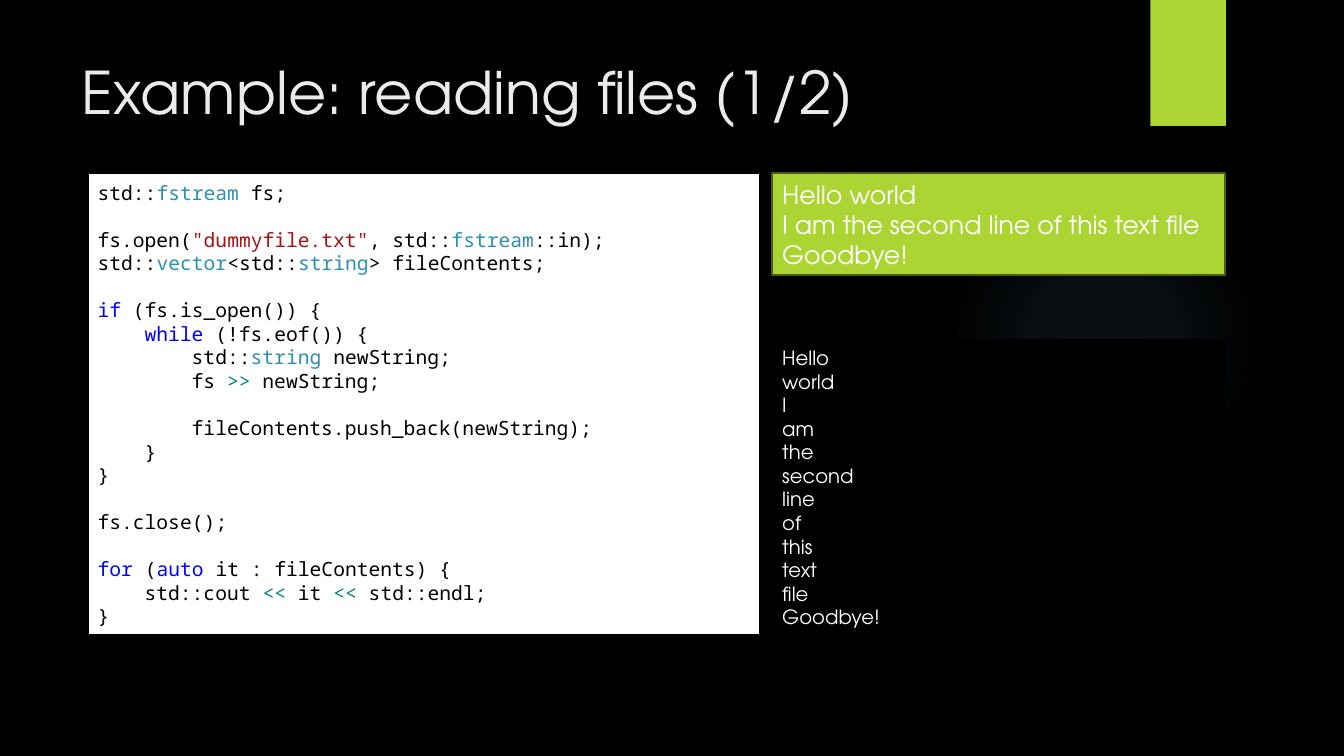
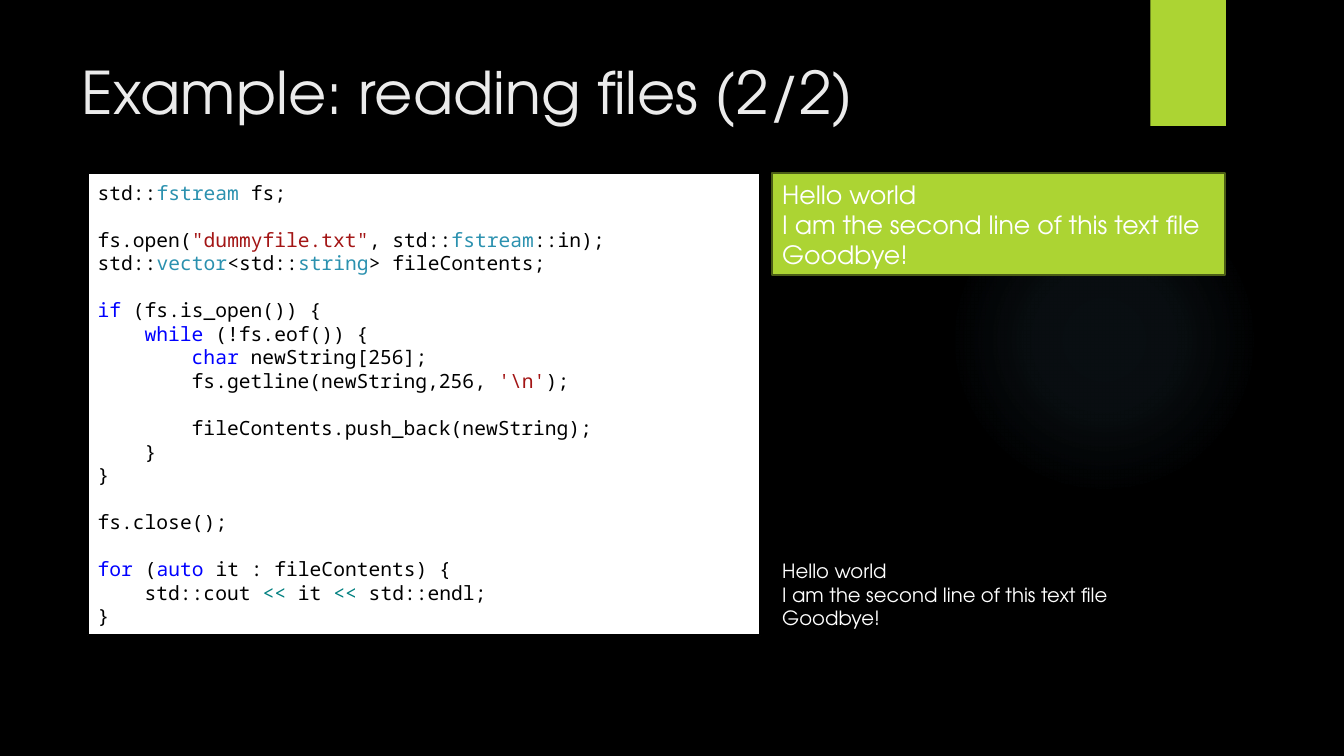
from lxml import etree
from pptx import Presentation
from pptx.dml.color import RGBColor
from pptx.enum.shapes import MSO_SHAPE as Preset
from pptx.enum.text import MSO_ANCHOR as Anchor, PP_ALIGN as Align
from pptx.oxml.ns import nsdecls
from pptx.util import Pt

PX = 9144  # EMU per px, 100 px to the inch

BLACK = RGBColor(0x00, 0x00, 0x00)
WHITE = RGBColor(0xFF, 0xFF, 0xFF)
TITLE = RGBColor(0xEB, 0xEB, 0xEB)
LIME = RGBColor(0xAC, 0xD4, 0x33)
OLIVE = RGBColor(0x4B, 0x5D, 0x16)
GLOW = RGBColor(0x7A, 0xC4, 0xF0)
TYPE = RGBColor(0x2B, 0x91, 0xAF)
KEYWORD = RGBColor(0x00, 0x00, 0xFF)
OPERATOR = RGBColor(0x00, 0x80, 0x80)
LITERAL = RGBColor(0xA3, 0x15, 0x15)

SYNTAX = {
    **dict.fromkeys(("fstream", "vector", "string"), TYPE),
    **dict.fromkeys(("if", "while", "for", "auto", "char"), KEYWORD),
    **dict.fromkeys(("<<", ">>"), OPERATOR),
}

# Code with backticks around each coloured token
CODE_START = """\
std::`fstream` fs;

fs.open(`"dummyfile.txt"`, std::`fstream`::in);
std::`vector`<std::`string`> fileContents;

`if` (fs.is_open()) {
    `while` (!fs.eof()) {
"""
READ_WORD = """\
        std::`string` newString;
        fs `>>` newString;
"""
READ_LINE = r"""        `char` newString[256];
        fs.getline(newString,256, `'\n'`);
"""
CODE_END = """
        fileContents.push_back(newString);
    }
}

fs.close();

`for` (`auto` it : fileContents) {
    std::cout `<<` it `<<` std::endl;
}"""

FILE_TEXT = """Hello world
I am the second line of this text file
Goodbye!"""


class Deck:
    """Holds the style and the current page."""

    sans = "TeX Gyre Adventor"
    mono = "Noto Sans Mono"
    code_size = 14
    code_leading = Pt(16.8)
    code_indent = Pt(8.4)  # width of one character

    def __init__(self):
        self.file = Presentation()
        self.file.slide_width = 1333 * PX
        self.file.slide_height = 750 * PX
        self.page = None

    def add_page(self, title):
        self.page = self.file.slides.add_slide(self.file.slide_layouts[6])
        background = self.page.background.fill
        background.solid()
        background.fore_color.rgb = BLACK
        self.glow(941, 183, 308)
        self.shape(1141, 0, 75, 125, LIME)
        self.title(title)

    def shape(self, left, top, width, height, fill, line=None, preset=Preset.RECTANGLE):
        shape = self.page.shapes.add_shape(
            preset, left * PX, top * PX, width * PX, height * PX)
        shape.shadow.inherit = False
        shape.fill.solid()
        shape.fill.fore_color.rgb = fill
        if line is None:
            shape.line.fill.background()
        else:
            shape.line.color.rgb = line
            shape.line.width = Pt(1.5)
        return shape

    def glow(self, left, top, size):
        """A round light that fades out from its centre."""
        circle = self.shape(left, top, size, size, GLOW, preset=Preset.OVAL)
        stops = "".join(
            f'<a:gs pos="{place * 1000}"><a:srgbClr val="{GLOW}">'
            f'<a:alpha val="{alpha * 1000}"/></a:srgbClr></a:gs>'
            for place, alpha in ((0, 7), (36, 6), (69, 0), (100, 0)))
        gradient = etree.fromstring(
            f'<a:gradFill {nsdecls("a")}><a:gsLst>{stops}</a:gsLst>'
            '<a:path path="circle"><a:fillToRect l="50000" t="50000" '
            'r="50000" b="50000"/></a:path></a:gradFill>')
        properties = circle.element.spPr
        solid = properties.find("{*}solidFill")
        properties.replace(solid, gradient)

    def paragraphs(self, box, count, font, size, color, anchor=Anchor.MIDDLE):
        """Give the box a number of styled paragraphs and return them."""
        frame = box.text_frame
        frame.word_wrap = True
        frame.vertical_anchor = anchor
        for _ in range(count - 1):
            frame.add_paragraph()
        for para in frame.paragraphs:
            para.alignment = Align.LEFT
            para.font.name = font
            para.font.size = Pt(size)
            para.font.color.rgb = color
        return frame.paragraphs

    def title(self, text):
        box = self.page.shapes.add_textbox(71 * PX, 50 * PX, 1029 * PX, 153 * PX)
        para, = self.paragraphs(box, 1, self.sans, 42, TITLE, Anchor.TOP)
        para.add_run().text = text

    def text_panel(self, top, height, lines, size, fill, line):
        box = self.shape(766, top, 449, height, fill, line)
        paras = self.paragraphs(box, len(lines), self.sans, size, WHITE)
        for para, text in zip(paras, lines):
            para.add_run().text = text

    def code_panel(self, code):
        """Blank lines become space before, leading spaces an indent."""
        box = self.shape(87, 172, 667, 458, WHITE, BLACK)
        lines = code.split("\n")
        filled = [line for line in lines if line]
        after_blank = [not before for before, line in zip(["-"] + lines, lines) if line]
        paras = self.paragraphs(box, len(filled), self.mono, self.code_size, BLACK)
        for para, line, gap in zip(paras, filled, after_blank):
            para.line_spacing = self.code_leading
            para.space_before = self.code_leading if gap else Pt(0)
            text = line.lstrip()
            indent = (len(line) - len(text)) * self.code_indent
            para._p.get_or_add_pPr().set("marL", str(indent))
            for position, token in enumerate(text.split("`")):
                if not token:
                    continue
                span = para.add_run()
                span.text = token
                if position % 2:
                    span.font.color.rgb = SYNTAX.get(token, LITERAL)


def main():
    deck = Deck()
    lines = FILE_TEXT.split("\n")
    examples = (
        ("1/2", READ_WORD, FILE_TEXT.split(), 293),
        ("2/2", READ_LINE, lines, 81),
    )
    for number, reading, output, height in examples:
        deck.add_page(f"Example: reading files ({number})")
        deck.code_panel(CODE_START + reading + CODE_END)
        # File contents above, program output aligned to the code's bottom
        deck.text_panel(172, 101, lines, 18, LIME, OLIVE)
        deck.text_panel(630 - height, height, output, 14, BLACK, BLACK)
    deck.file.save("out.pptx")


if __name__ == "__main__":
    main()
